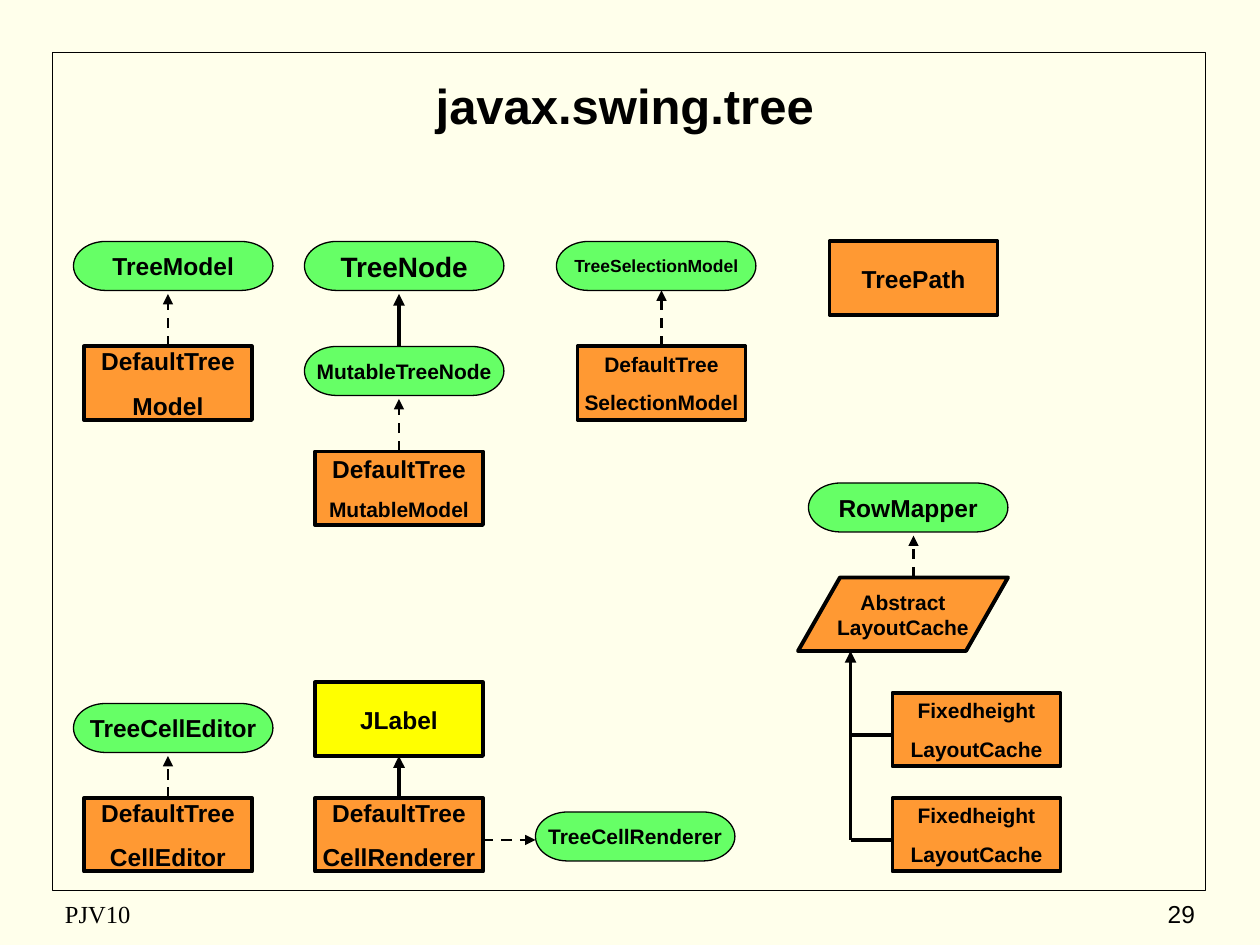
from lxml import etree
from pptx import Presentation
from pptx.dml.color import RGBColor
from pptx.enum import dml, shapes, text
from pptx.oxml import ns
from pptx.util import Pt

BLACK = RGBColor(0, 0, 0)
CREAM = RGBColor(0xFF, 0xFF, 0xEB)
ORANGE = RGBColor(0xFF, 0x99, 0x33)
GREEN = RGBColor(0x66, 0xFF, 0x66)
YELLOW = RGBColor(0xFF, 0xFF, 0x00)

TITLE = "javax.swing.tree"

# kind: preset shape, width, height, fill, line width, space between lines per point of text
KINDS = {
    "interface": (shapes.MSO_SHAPE.FLOWCHART_TERMINATOR, 114, 28, GREEN, 0.75, 0.625),
    "class": (shapes.MSO_SHAPE.RECTANGLE, 96, 42, ORANGE, 2.25, 0.625),
    "swing": (shapes.MSO_SHAPE.RECTANGLE, 96, 42, YELLOW, 2.25, 0.625),
    "abstract": (shapes.MSO_SHAPE.FLOWCHART_DATA, 120, 42, ORANGE, 2.25, 0),
}

# kind, left, top, (line, text size)...
TYPES = [
    ("interface", 42, 138, ("TreeModel", 14)),
    ("class", 48, 198, ("DefaultTree", 14), ("Model", 14)),
    ("interface", 174, 138, ("TreeNode", 16)),
    ("interface", 174, 198, ("MutableTreeNode", 12)),
    ("class", 180, 258, ("DefaultTree", 14), ("MutableModel", 12)),
    ("interface", 318, 138, ("TreeSelectionModel", 10)),
    ("class", 330, 198, ("DefaultTree", 12), ("SelectionModel", 12)),
    ("class", 474, 138, ("TreePath", 14)),
    ("interface", 462, 276, ("RowMapper", 14)),
    ("abstract", 456, 330, ("Abstract", 12), ("LayoutCache", 12)),
    ("class", 510, 396, ("Fixedheight", 12), ("LayoutCache", 12)),
    ("class", 510, 456, ("Fixedheight", 12), ("LayoutCache", 12)),
    ("interface", 42, 402, ("TreeCellEditor", 14)),
    ("class", 48, 456, ("DefaultTree", 14), ("CellEditor", 14)),
    ("swing", 180, 390, ("JLabel", 14)),
    ("class", 180, 456, ("DefaultTree", 14), ("CellRenderer", 14)),
    ("interface", 306, 464, ("TreeCellRenderer", 12)),
]

# relation: line width, dashed, arrowhead
RELATIONS = {
    "implements": (1.5, True, True),
    "extends": (2.25, False, True),
    "branch": (2.25, False, False),
}

# relation, from x, from y, to x, to y
LINKS = [
    ("implements", 96, 198, 96, 168),
    ("extends", 228, 198, 228, 168),
    ("implements", 228, 258, 228, 228),
    ("implements", 378, 198, 378, 166),
    ("implements", 522, 330, 522, 306),
    ("extends", 486, 480, 486, 372),
    ("branch", 486, 420, 510, 420),
    ("branch", 486, 480, 510, 480),
    ("implements", 96, 456, 96, 432),
    ("extends", 228, 456, 228, 432),
    ("implements", 276, 480, 306, 480),
]

# text, left, top, width, height, font, alignment
FOOTERS = [
    ("PJV10", 30, 510, 228, 24, "Times New Roman", text.PP_ALIGN.LEFT),
    ("29", 540, 510, 150, 24, "Arial", text.PP_ALIGN.RIGHT),
]


def write(frame, lines, align, wrap=True, bold=True, font="Arial", gap=0):
    frame.word_wrap = wrap
    frame.auto_size = text.MSO_AUTO_SIZE.NONE
    frame.vertical_anchor = text.MSO_ANCHOR.MIDDLE
    for index, (words, size) in enumerate(lines):
        paragraph = frame.add_paragraph() if index else frame.paragraphs[0]
        paragraph.alignment = align
        paragraph.space_before = Pt(round(gap * size, 1) if index else 0)
        run = paragraph.add_run()
        run.text = words
        run.font.name = font
        run.font.size = Pt(size)
        run.font.bold = bold
        run.font.color.rgb = BLACK


def outline(line, width):
    line.color.rgb = BLACK
    line.width = Pt(width)


def add_type(slide, kind, left, top, *lines):
    preset, width, height, fill, line_width, gap = KINDS[kind]
    box = slide.shapes.add_shape(preset, Pt(left), Pt(top), Pt(width), Pt(height))
    box.shadow.inherit = False
    box.fill.solid()
    box.fill.fore_color.rgb = fill
    outline(box.line, line_width)
    write(box.text_frame, lines, text.PP_ALIGN.CENTER, wrap=False, gap=gap)


def add_link(slide, relation, *ends):
    width, dashed, arrow = RELATIONS[relation]
    link = slide.shapes.add_connector(shapes.MSO_CONNECTOR.STRAIGHT, *map(Pt, ends))
    outline(link.line, width)
    if dashed:
        link.line.dash_style = dml.MSO_LINE.DASH
    properties = link._element.spPr
    if arrow:
        etree.SubElement(properties.find(ns.qn("a:ln")), ns.qn("a:tailEnd"), type="triangle")
    etree.SubElement(properties, ns.qn("a:effectLst"))


def main():
    deck = Presentation()
    deck.slide_width, deck.slide_height = Pt(720), Pt(540)
    slide = deck.slides.add_slide(deck.slide_layouts[5])
    slide.background.fill.solid()
    slide.background.fill.fore_color.rgb = CREAM

    # Page frame
    border = slide.shapes.add_shape(shapes.MSO_SHAPE.RECTANGLE, Pt(30), Pt(30), Pt(659), Pt(479))
    border.shadow.inherit = False
    border.fill.background()
    outline(border.line, 1)

    # Title
    title = slide.shapes.title
    title.left, title.top, title.width, title.height = Pt(36), Pt(36), Pt(642), Pt(48)
    write(title.text_frame, [(TITLE, 28)], text.PP_ALIGN.CENTER)

    # Class diagram
    for entry in TYPES:
        add_type(slide, *entry)
    for entry in LINKS:
        add_link(slide, *entry)

    # Footer
    for words, left, top, width, height, font, align in FOOTERS:
        footer = slide.shapes.add_textbox(Pt(left), Pt(top), Pt(width), Pt(height))
        write(footer.text_frame, [(words, 14)], align, bold=False, font=font)

    deck.save("out.pptx")


if __name__ == "__main__":
    main()
